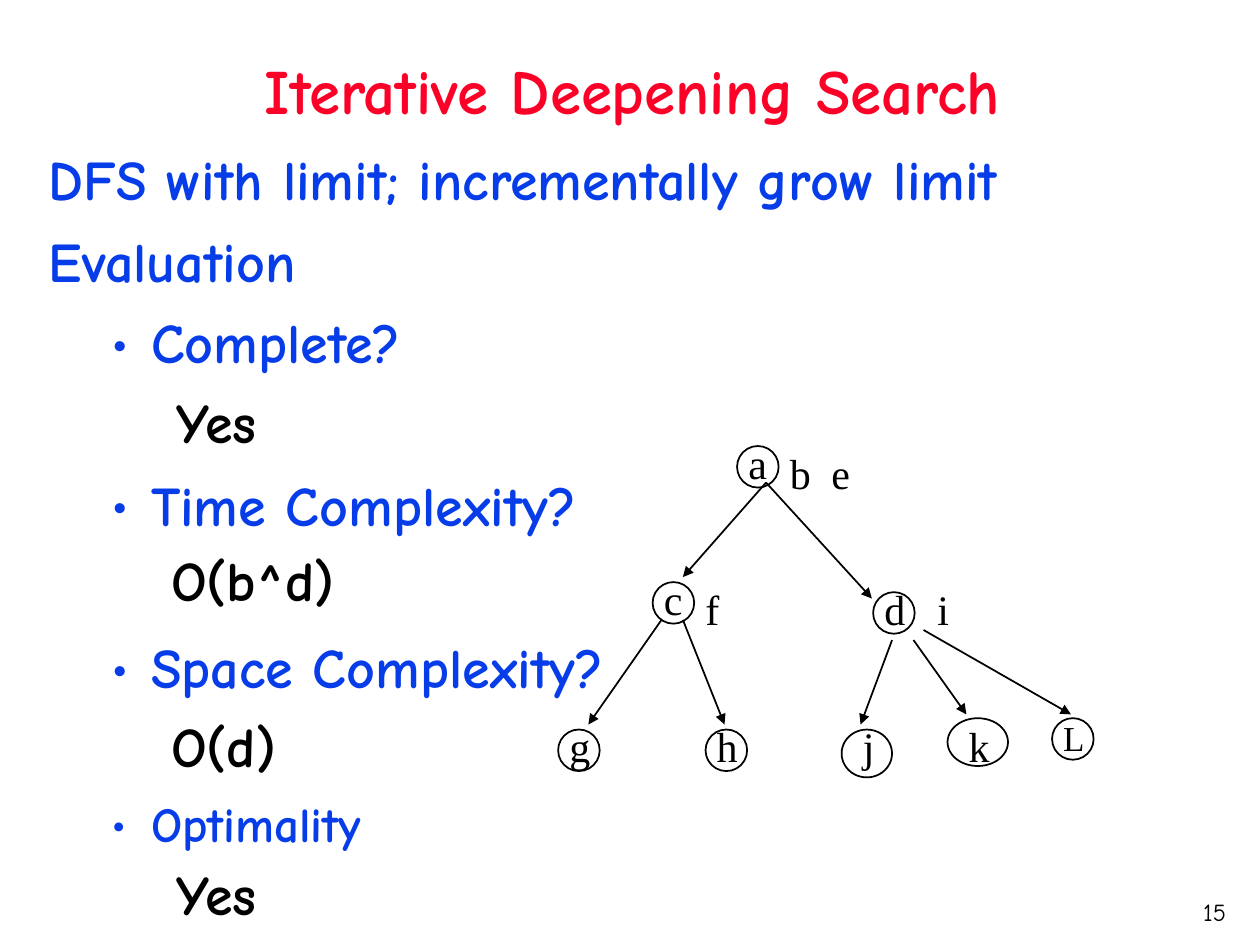
from lxml.etree import SubElement
from pptx import Presentation
from pptx.dml.color import RGBColor
from pptx.enum.shapes import MSO_CONNECTOR, MSO_SHAPE
from pptx.enum.text import MSO_ANCHOR, MSO_AUTO_SIZE, PP_ALIGN
from pptx.oxml.ns import qn
from pptx.util import Inches, Pt

BLACK = RGBColor(0x00, 0x00, 0x00)
RED = RGBColor(0xFC, 0x01, 0x28)
BLUE = RGBColor(0x06, 0x3D, 0xE8)
HEADING_FONT = "Comic Neue"
TREE_FONT = "Times New Roman"


class SlideBuilder:
    def __init__(self, slide):
        self.slide = slide

    def style(self, paragraph, size, color=BLACK, font=HEADING_FONT, bold=False):
        paragraph.font.size = Pt(size)
        paragraph.font.name = font
        paragraph.font.bold = bold
        paragraph.font.color.rgb = color

    def frame(self, left, top, width, height, wrap=True):
        box = self.slide.shapes.add_textbox(
            Inches(left), Inches(top), Inches(width), Inches(height))
        box.text_frame.word_wrap = wrap
        return box.text_frame

    def text(self, words, left, top, width, height, size, align, **look):
        """One middle-anchored line in a fixed box."""
        frame = self.frame(left, top, width, height)
        frame.vertical_anchor = MSO_ANCHOR.MIDDLE
        line = frame.paragraphs[0]
        line.text = words
        line.alignment = align
        line.line_spacing = 0.9
        self.style(line, size, **look)

    def label(self, words, left, top, width, height, size, **look):
        """One line in a box that fits its text."""
        frame = self.frame(left, top, width, height, wrap=False)
        frame.auto_size = MSO_AUTO_SIZE.SHAPE_TO_FIT_TEXT
        line = frame.paragraphs[0]
        line.text = words
        self.style(line, size, **look)

    def outline(self, items, left, top, width, height):
        """Items are (words, is bullet, size, space before)."""
        frame = self.frame(left, top, width, height)
        for index, (words, bullet, size, before) in enumerate(items):
            line = frame.add_paragraph() if index else frame.paragraphs[0]
            line.text = words
            line.line_spacing = 0.9
            if before:
                line.space_before = Pt(before)
            margin, indent = (0.81, -0.31) if bullet else (0.38, -0.38)
            properties = line._p.get_or_add_pPr()
            properties.set("marL", str(Inches(margin)))
            properties.set("indent", str(Inches(indent)))
            if bullet:
                line.level = 1
                color = SubElement(properties, qn("a:buClr"))
                SubElement(color, qn("a:srgbClr"), val=str(BLUE))
                SubElement(properties, qn("a:buFont"), typeface=HEADING_FONT)
                SubElement(properties, qn("a:buChar"), char="•")
            else:
                SubElement(properties, qn("a:buNone"))
            self.style(line, size, color=BLUE, bold=True)

    def circle(self, left, top, width, height):
        node = self.slide.shapes.add_shape(
            MSO_SHAPE.OVAL, Inches(left), Inches(top), Inches(width), Inches(height))
        node.shadow.inherit = False
        node.fill.background()
        node.line.color.rgb = BLACK
        node.line.width = Pt(1)

    def arrow(self, start, end):
        edge = self.slide.shapes.add_connector(
            MSO_CONNECTOR.STRAIGHT, *(Inches(value) for value in (*start, *end)))
        edge.line.color.rgb = BLACK
        edge.line.width = Pt(1)
        SubElement(edge.line._get_or_add_ln(), qn("a:tailEnd"), type="triangle")
        SubElement(edge._element.spPr, qn("a:effectLst"))


def main():
    deck = Presentation()
    deck.slide_width, deck.slide_height = Inches(10), Inches(7.5)
    builder = SlideBuilder(deck.slides.add_slide(deck.slide_layouts[6]))

    # Page number and title
    builder.text("15", 7.75, 7, 2.08, 0.5, 14, PP_ALIGN.RIGHT)
    builder.text("Iterative Deepening Search", 1.09, 0.25, 7.86, 0.99, 36,
                 PP_ALIGN.CENTER, color=RED, bold=True)

    # Tree nodes
    for left, top, width, height in (
            (5.85, 3.54, 0.33, 0.33),
            (5.18, 4.62, 0.33, 0.33), (6.93, 4.7, 0.33, 0.33),
            (4.43, 5.79, 0.33, 0.33), (5.6, 5.79, 0.33, 0.33),
            (6.68, 5.79, 0.4, 0.38), (7.52, 5.7, 0.48, 0.38),
            (8.35, 5.7, 0.33, 0.33)):
        builder.circle(left, top, width, height)

    # Node letters
    for letter, left, top, width in (
            ("a", 5.84, 3.42, 0.35), ("b", 6.17, 3.5, 0.36), ("e", 6.5, 3.5, 0.35),
            ("c", 5.17, 4.5, 0.35), ("f", 5.5, 4.58, 0.31),
            ("d", 6.92, 4.58, 0.36), ("i", 7.34, 4.58, 0.29),
            ("g", 4.42, 5.67, 0.36), ("h", 5.59, 5.67, 0.36),
            ("j", 6.75, 5.67, 0.29), ("k", 7.59, 5.67, 0.36)):
        builder.label(letter, left, top, width, 0.5, 24, font=TREE_FONT)
    builder.label("L", 8.34, 5.64, 0.37, 0.44, 20, font=TREE_FONT)

    # Tree edges
    for start, end in (
            ((6.08, 3.83), (5.42, 4.58)), ((6.08, 3.83), (6.92, 4.75)),
            ((5.25, 4.92), (4.67, 5.75)), ((5.42, 4.92), (5.75, 5.75)),
            ((7.08, 5.08), (6.83, 5.75)), ((7.25, 5.08), (7.67, 5.67)),
            ((7.33, 5), (8.5, 5.67))):
        builder.arrow(start, end)

    # Questions, spaced to leave a line for each answer
    gap, answer_line = 12, 46.3
    builder.outline((
        ("DFS with limit; incrementally grow limit", False, 32, 0),
        ("Evaluation", False, 32, gap),
        ("Complete?", True, 32, gap),
        ("Time Complexity?", True, 32, gap + answer_line),
        ("Space Complexity?", True, 32, gap + answer_line),
        ("Optimality", True, 28, 10.5 + answer_line),
    ), 0.29, 1.16, 8.99, 6.25)

    # Answers
    for answer, left, top, width in (
            ("Yes", 1.3, 3.03, 0.88), ("O(b^d)", 1.26, 4.28, 1.52),
            ("O(d)", 1.26, 5.6, 1.1), ("Yes", 1.3, 6.77, 0.88)):
        builder.label(answer, left, top, width, 0.64, 32, bold=True)

    deck.save("out.pptx")


if __name__ == "__main__":
    main()
